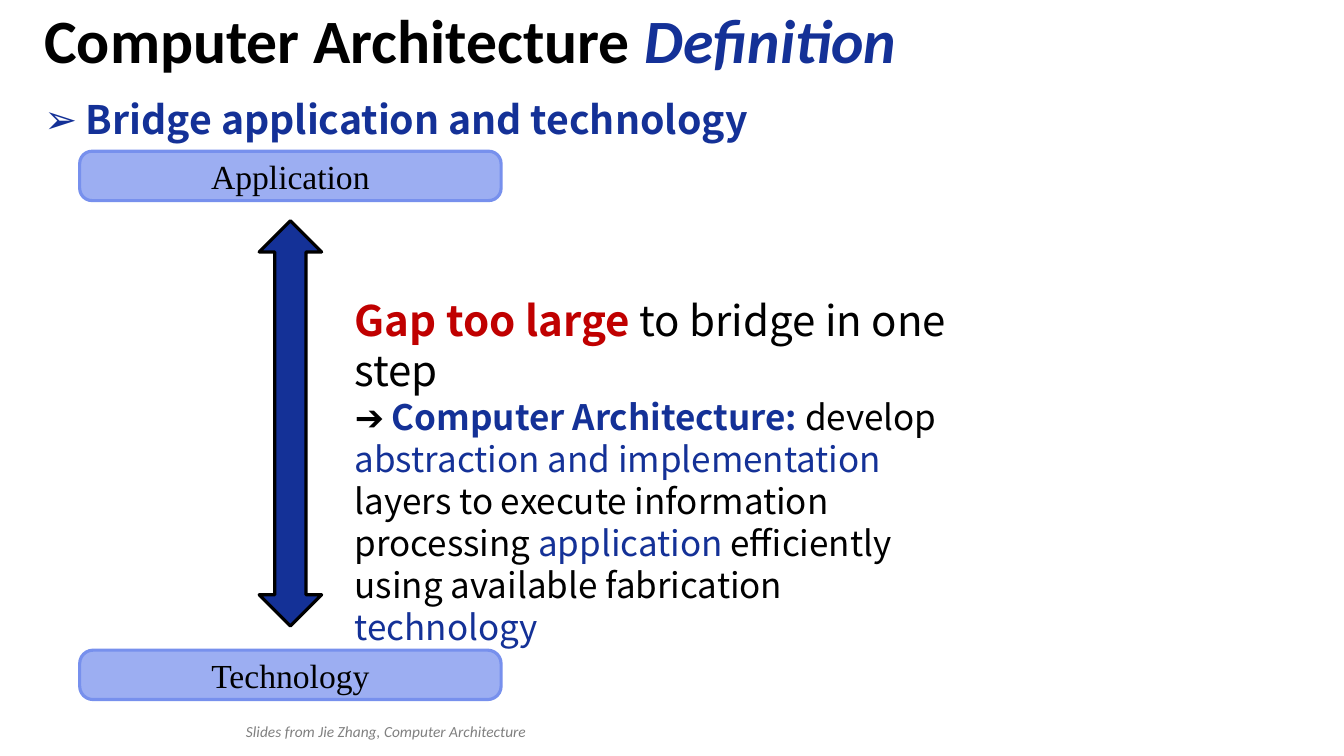
from dataclasses import dataclass

from lxml.etree import SubElement
from pptx import Presentation
from pptx.dml.color import RGBColor
from pptx.enum.shapes import MSO_SHAPE as SHAPE
from pptx.enum.text import MSO_ANCHOR as ANCHOR, MSO_AUTO_SIZE as FIT, PP_ALIGN as ALIGN
from pptx.oxml.ns import qn
from pptx.util import Inches, Pt

COLORS = {
    "black": "000000",
    "blue": "143197",
    "red": "C00000",
    "gray": "808080",
    "layer": "9CAEF2",
    "layer_line": "7790ED",
}
HEADING, BODY, LABEL = "Calibri", "Noto Sans CJK SC", "Times New Roman"


@dataclass
class Layer:
    name: str
    top: float
    radius: float


LAYERS = [Layer("Application", 1.5, 0.25), Layer("Technology", 6.45, 0.27)]


def rgb(name: str) -> RGBColor:
    return RGBColor.from_string(COLORS[name])


def place(shape, left: float, top: float, width: float, height: float) -> None:
    shape.left, shape.top = Inches(left), Inches(top)
    shape.width, shape.height = Inches(width), Inches(height)


def prepare(shape, anchor=ANCHOR.TOP):
    tf = shape.text_frame
    tf.word_wrap = True
    tf.auto_size = FIT.NONE
    tf.vertical_anchor = anchor
    return tf


def format_paragraph(p, align=ALIGN.LEFT, spacing: float = 1.0) -> None:
    p.alignment = align
    p.line_spacing = spacing
    p.space_before = Pt(0)


def add_text(p, text: str, *, size: float, font: str = BODY, color: str = "black",
             bold: bool = False, italic: bool = False) -> None:
    r = p.add_run()
    r.text = text
    r.font.name, r.font.size = font, Pt(size)
    r.font.bold, r.font.italic = bold, italic
    r.font.color.rgb = rgb(color)


def add_bullet(p, char: str, indent: float) -> None:
    pPr = p._p.get_or_add_pPr()
    pPr.set("marL", str(Inches(indent)))
    pPr.set("indent", str(-Inches(indent)))
    SubElement(pPr, qn("a:buChar")).set("char", char)


def add_filled(s, kind, box: tuple, fill: str, line: str):
    shape = s.shapes.add_shape(kind, *map(Inches, box))
    shape.shadow.inherit = False
    shape.fill.solid()
    shape.fill.fore_color.rgb = rgb(fill)
    shape.line.color.rgb = rgb(line)
    shape.line.width = Pt(2.25)
    return shape


def add_layer(s, layer: Layer) -> None:
    box = (0.79, layer.top, 4.18, 0.49)
    shape = add_filled(s, SHAPE.ROUNDED_RECTANGLE, box, "layer", "layer_line")
    shape.adjustments[0] = layer.radius
    p = prepare(shape, ANCHOR.MIDDLE).paragraphs[0]
    format_paragraph(p, ALIGN.CENTER)
    add_text(p, layer.name, size=24, font=LABEL)


def add_explanation(s) -> None:
    box = s.shapes.add_textbox(*map(Inches, (3.42, 2.87, 6.18, 2.71)))
    tf = prepare(box)
    gap, answer = tf.paragraphs[0], tf.add_paragraph()
    for p in (gap, answer):
        format_paragraph(p)
    add_text(gap, "Gap too large ", size=30, color="red", bold=True)
    add_text(gap, "to bridge in one step", size=30)
    add_text(answer, "➔ ", size=25)
    add_text(answer, "Computer Architecture: ", size=25, color="blue", bold=True)
    for text, color in [
        ("develop ", "black"),
        ("abstraction and implementation ", "blue"),
        ("layers to execute information processing ", "black"),
        ("application", "blue"),
        (" efficiently using available fabrication ", "black"),
        ("technology", "blue"),
    ]:
        add_text(answer, text, size=25, color=color)


def add_credit(s) -> None:
    box = s.shapes.add_textbox(*map(Inches, (2.44, 7.05, 8.77, 0.45)))
    tf = prepare(box, ANCHOR.MIDDLE)
    tf.margin_left = tf.margin_right = tf.margin_top = tf.margin_bottom = 0
    p = tf.paragraphs[0]
    format_paragraph(p, spacing=0.8)
    add_text(p, "Slides from Jie Zhang, Computer Architecture", size=11,
             font=HEADING, color="gray", italic=True)


def main() -> None:
    prs = Presentation()
    prs.slide_width, prs.slide_height = Inches(13.33), Inches(7.5)
    s = prs.slides.add_slide(prs.slide_layouts[1])
    title, body = s.placeholders

    place(title, 0.34, 0.02, 12.69, 0.83)
    p = prepare(title, ANCHOR.MIDDLE).paragraphs[0]
    format_paragraph(p, spacing=0.9)
    add_text(p, "Computer Architecture ", size=44, font=HEADING, bold=True)
    add_text(p, "Definition", size=44, font=HEADING, color="blue", bold=True, italic=True)

    place(body, 0.34, 0.95, 9.26, 0.51)
    p = prepare(body).paragraphs[0]
    add_bullet(p, "➢", 0.2)
    format_paragraph(p, spacing=0.9)
    add_text(p, " Bridge application and technology", size=28, color="blue", bold=True)

    add_filled(s, SHAPE.UP_DOWN_ARROW, (2.57, 2.19, 0.62, 4.02), "blue", "black")
    add_explanation(s)
    for layer in LAYERS:
        add_layer(s, layer)
    add_credit(s)
    prs.save("out.pptx")


if __name__ == "__main__":
    main()
